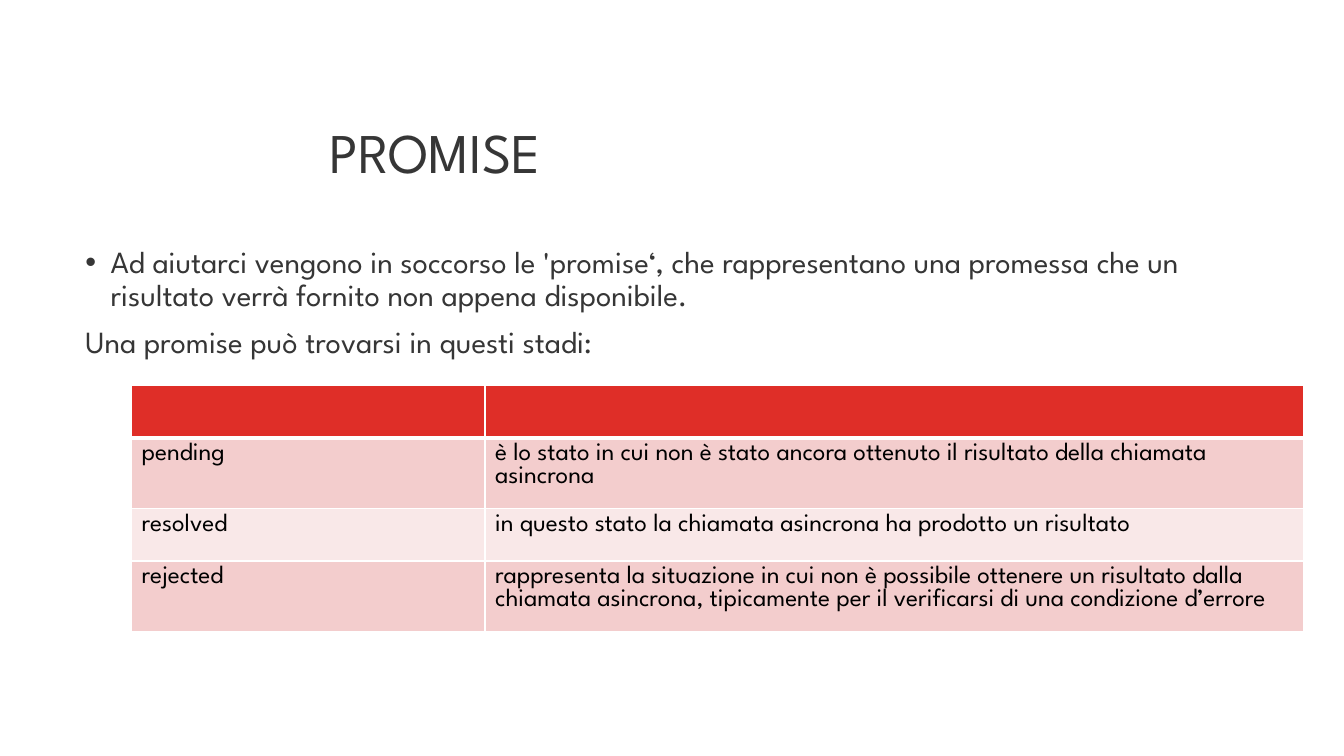
from lxml import etree
from pptx import Presentation
from pptx.dml.color import RGBColor
from pptx.enum import text as t
from pptx.oxml import ns
from pptx.util import Pt

FACE = "League Spartan"
GREY = RGBColor(0x36, 0x36, 0x36)
BLACK = RGBColor(0, 0, 0)
RED = RGBColor(0xDF, 0x2E, 0x28)
ROSE = RGBColor(0xF3, 0xCD, 0xCD)
PALE = RGBColor(0xF9, 0xE8, 0xE8)
WHITE = RGBColor(0xFF, 0xFF, 0xFF)


def style(par, size, color):
    form = {"name": FACE, "size": Pt(size)}
    for key, val in form.items():
        setattr(par.runs[0].font, key, val)
    par.runs[0].font.color.rgb = color


def edge(cell, side, width):
    line = etree.SubElement(cell._tc.get_or_add_tcPr(), ns.qn(f"a:ln{side}"), w=str(Pt(width)))
    fill = etree.SubElement(line, ns.qn("a:solidFill"))
    etree.SubElement(fill, ns.qn("a:srgbClr"), val=str(WHITE))


prs = Presentation()
prs.slide_width, prs.slide_height = Pt(960), Pt(540)
slide = prs.slides.add_slide(prs.slide_layouts[5])

# Title
title = slide.shapes.title
place = {"left": 228.2, "top": 60.5, "width": 678.2, "height": 101.5}
for key, val in place.items():
    setattr(title, key, Pt(val))
frame = title.text_frame
frame.text = "PROMISE"
frame.vertical_anchor = t.MSO_ANCHOR.MIDDLE
frame.auto_size = t.MSO_AUTO_SIZE.NONE
head = frame.paragraphs[0]
head.alignment = t.PP_ALIGN.LEFT
head.line_spacing = 0.9
style(head, 40, GREY)

# Introduction
body = slide.shapes.add_textbox(Pt(54), Pt(172.8), Pt(851.8), Pt(316.8)).text_frame
body.word_wrap = True
body.text = (
    "Ad aiutarci vengono in soccorso le 'promise‘, che rappresentano una promessa "
    "che un risultato verrà fornito non appena disponibile.\n"
    "Una promise può trovarsi in questi stadi:"
)
for par in body.paragraphs:
    par.line_spacing = 0.9
    par.space_before = Pt(10)
    style(par, 22, GREY)
props = body.paragraphs[0]._p.get_or_add_pPr()
props.set("marL", str(Pt(18)))
props.set("indent", str(-Pt(18)))
etree.SubElement(props, ns.qn("a:buFont"), typeface="Arial")
etree.SubElement(props, ns.qn("a:buChar"), char="•")

# Table of states
rows = [
    ("", ""),
    ("pending", "è lo stato in cui non è stato ancora ottenuto il risultato "
                "della chiamata asincrona"),
    ("resolved", "in questo stato la chiamata asincrona ha prodotto un risultato"),
    ("rejected", "rappresenta la situazione in cui non è possibile ottenere un risultato "
                 "dalla chiamata asincrona, tipicamente per il verificarsi di una "
                 "condizione d’errore"),
]
fills = [RED, ROSE, PALE, ROSE]
table = slide.shapes.add_table(4, 2, Pt(94), Pt(275.4), Pt(837), Pt(149.8)).table
for col, width in zip(table.columns, (252.5, 584.5)):
    col.width = Pt(width)
for r, (row, fill) in enumerate(zip(rows, fills)):
    table.rows[r].height = Pt(37.44)
    for c, words in enumerate(row):
        cell = table.cell(r, c)
        for side in "LRTB":
            thick = (r, side) in ((0, "B"), (1, "T"))
            edge(cell, side, 3 if thick else 1)
        cell.fill.solid()
        cell.fill.fore_color.rgb = fill
        if words:
            cell.text = words
            style(cell.text_frame.paragraphs[0], 18, BLACK)

prs.save("out.pptx")
